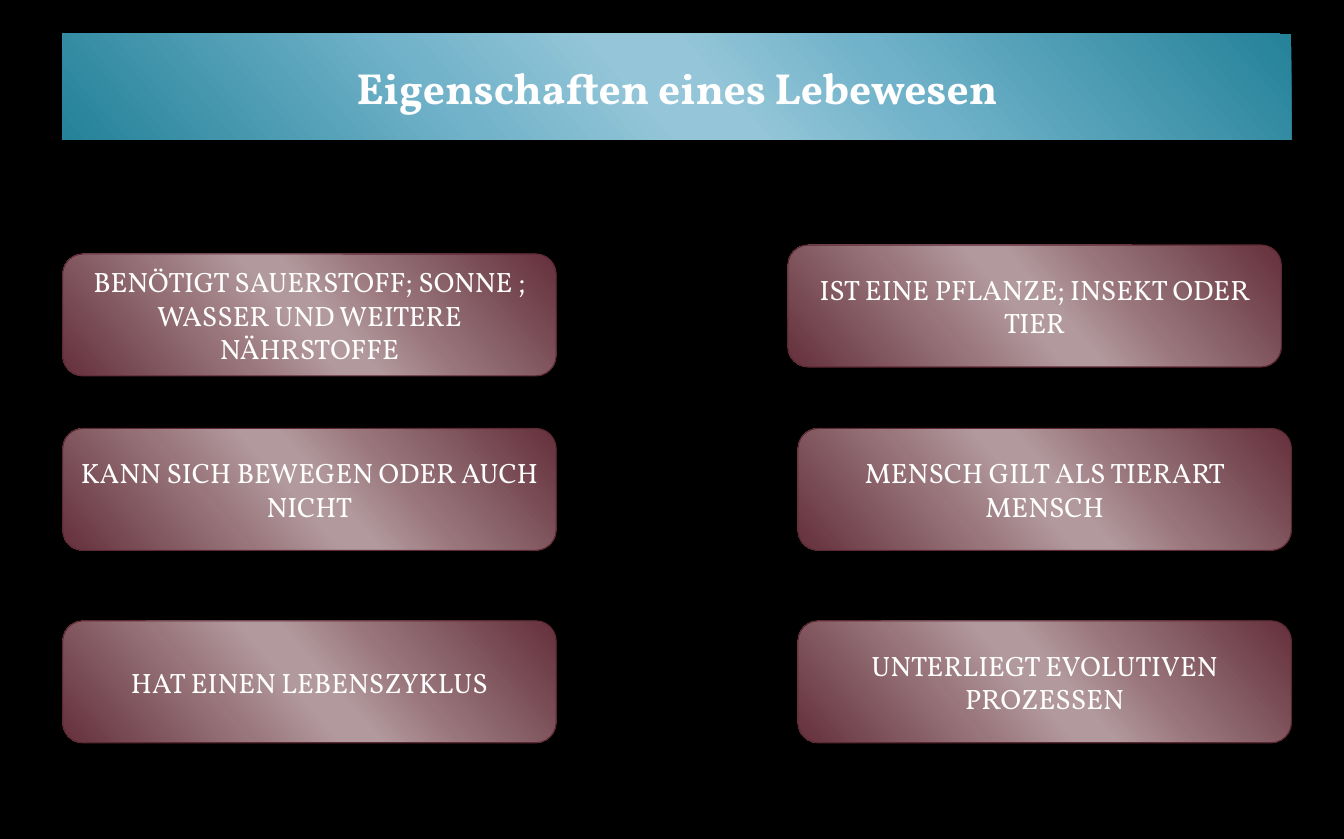
from lxml import etree
from pptx import Presentation
from pptx.dml.color import RGBColor
from pptx.enum.shapes import MSO_SHAPE
from pptx.enum.text import MSO_ANCHOR, PP_ALIGN
from pptx.oxml.ns import qn
from pptx.util import Inches, Pt

RECTANGLE = MSO_SHAPE.RECTANGLE
ROUNDED = MSO_SHAPE.ROUNDED_RECTANGLE
MIDDLE = MSO_ANCHOR.MIDDLE
CENTER = PP_ALIGN.CENTER

FONT = "Vollkorn"
STOPS = (0, 33, 47, 53, 68, 100)
TEAL = ("248299", "70B2C9", "94C5D8", "94C5D8", "72B3CA", "248299")
WINE = ("64303B", "98757B", "B2999D", "B2999D", "99767C", "64303B")
WINE_EDGE = "5D2934"

LEFT, RIGHT = 0.56, 7.13
BOX_WIDTH, BOX_HEIGHT = 4.41, 1.09
BOXES = (
    (LEFT, 2.27, "BENÖTIGT SAUERSTOFF; SONNE ; WASSER UND WEITERE NÄHRSTOFFE"),
    (LEFT, 3.83, "KANN SICH BEWEGEN ODER AUCH NICHT"),
    (LEFT, 5.55, "HAT EINEN LEBENSZYKLUS"),
    (7.04, 2.19, "IST EINE PFLANZE; INSEKT ODER TIER"),
    (RIGHT, 3.83, "MENSCH GILT ALS TIERART MENSCH"),
    (RIGHT, 5.55, "UNTERLIEGT EVOLUTIVEN PROZESSEN"),
)


def color(hex_string):
    return RGBColor.from_string(hex_string)


def add_panel(kind, left, top, width, height, colors, text, size):
    """Add a shape with a diagonal sheen and centred white text."""
    shape = slide.shapes.add_shape(
        kind, Inches(left), Inches(top), Inches(width), Inches(height))
    shape.shadow.inherit = False

    shape.fill.gradient()
    shape.fill.gradient_angle = 221
    stop_list = shape.element.spPr.find(qn("a:gradFill")).find(qn("a:gsLst"))
    for stop in list(stop_list):
        stop_list.remove(stop)
    for position, hex_string in zip(STOPS, colors):
        stop = etree.SubElement(stop_list, qn("a:gs"), pos=str(position * 1000))
        etree.SubElement(stop, qn("a:srgbClr"), val=hex_string)

    frame = shape.text_frame
    frame.word_wrap = True
    frame.vertical_anchor = MIDDLE
    paragraph = frame.paragraphs[0]
    paragraph.alignment = CENTER
    run = paragraph.add_run()
    run.text = text
    run.font.name = FONT
    run.font.size = Pt(size)
    run.font.color.rgb = color("FFFFFF")
    return shape


presentation = Presentation()
presentation.slide_width = Inches(12.01)
presentation.slide_height = Inches(7.5)
slide = presentation.slides.add_slide(presentation.slide_layouts[6])
slide.background.fill.solid()
slide.background.fill.fore_color.rgb = color("000000")

title = add_panel(RECTANGLE, LEFT, 0.3, 10.98, 0.95, TEAL,
                  "Eigenschaften eines Lebewesen", 28)
title.line.fill.background()
title.text_frame.paragraphs[0].runs[0].font.bold = True

for left, top, text in BOXES:
    box = add_panel(ROUNDED, left, top, BOX_WIDTH, BOX_HEIGHT, WINE, text, 18)
    box.line.color.rgb = color(WINE_EDGE)
    box.line.width = Pt(0.75)

presentation.save("out.pptx")
